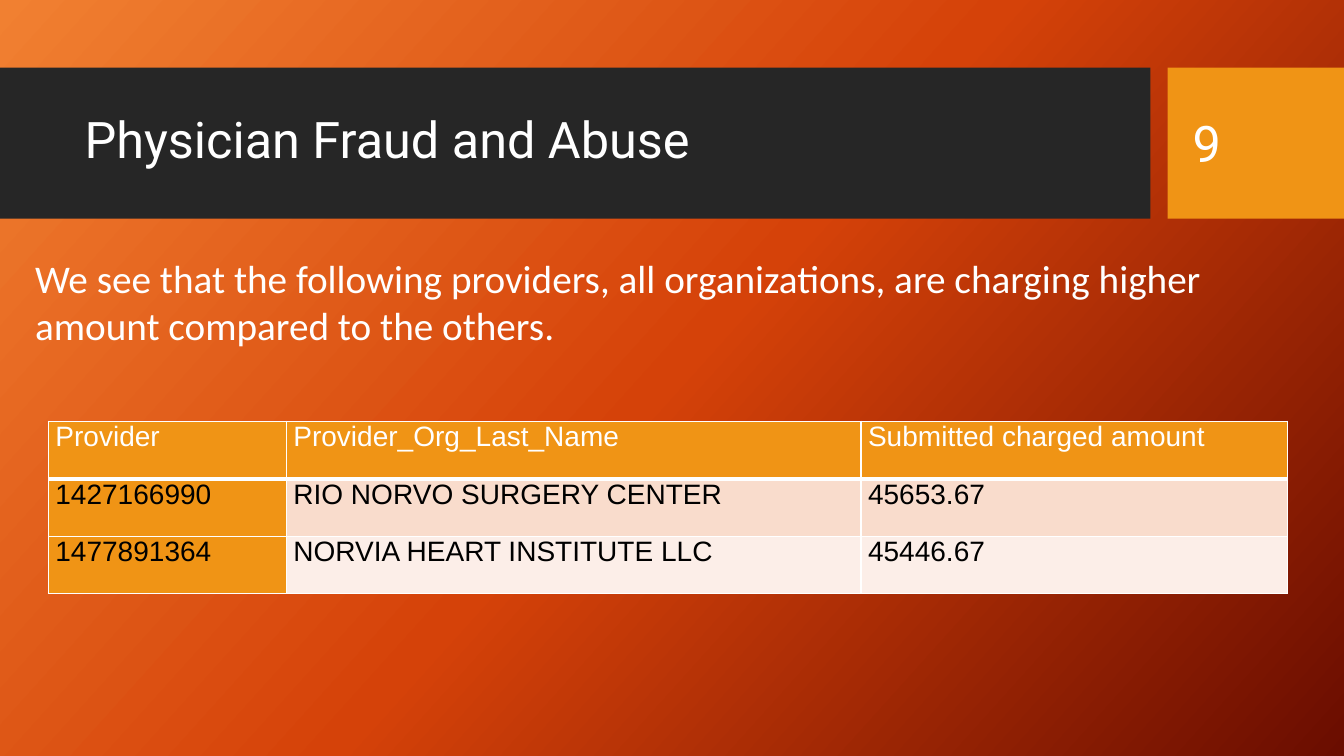
"""Build the Physician Fraud and Abuse slide with its table of providers."""
import copy

import pptx
import pptx.dml.color
import pptx.enum.shapes
import pptx.enum.text
import pptx.oxml
import pptx.oxml.ns
import pptx.util
from pptx.dml.color import RGBColor
from pptx.util import Inches

WHITE = RGBColor(0xFF, 0xFF, 0xFF)
BLACK = RGBColor(0x00, 0x00, 0x00)
CHARCOAL = RGBColor(0x26, 0x26, 0x26)
AMBER = RGBColor(0xF0, 0x94, 0x15)
PEACH = RGBColor(0xF9, 0xDC, 0xCC)
BLUSH = RGBColor(0xFC, 0xEE, 0xE8)
GRADIENT = {
    0: RGBColor(0xF1, 0x80, 0x31),
    0.5: RGBColor(0xD5, 0x42, 0x09),
    1: RGBColor(0x6A, 0x0D, 0x00),
}

HEADING = {"name": "Roboto", "size": pptx.util.Pt(36)}
BODY = {"name": "Calibri", "size": pptx.util.Pt(28)}
CELL = {"name": "Arial", "size": pptx.util.Pt(20)}

COLUMN_WIDTHS = (2.36, 5.7, 4.23)
ROW_HEIGHT = 0.57
PROVIDERS = (
    ("Provider", "Provider_Org_Last_Name", "Submitted charged amount"),
    ("1427166990", "RIO NORVO SURGERY CENTER", "45653.67"),
    ("1477891364", "NORVIA HEART INSTITUTE LLC", "45446.67"),
)
ROW_FILLS = (AMBER, PEACH, BLUSH)


def paint_background(page):
    """Fill the page with the diagonal gradient."""
    fill = page.background.fill
    fill.gradient()
    fill.gradient_angle = 360 - 42
    stop_list = page.element.find(".//" + pptx.oxml.ns.qn("a:gsLst"))
    stop_list.append(copy.deepcopy(stop_list[0]))
    for stop, (position, color) in zip(fill.gradient_stops, GRADIENT.items()):
        stop.position = position
        stop.color.rgb = color


def add_panel(page, bounds, color):
    """Add a plain filled rectangle."""
    panel = page.shapes.add_shape(
        pptx.enum.shapes.MSO_SHAPE.RECTANGLE, *map(Inches, bounds)
    )
    panel.shadow.inherit = False
    panel.fill.solid()
    panel.fill.fore_color.rgb = color
    panel.line.fill.background()


def write_text(frame, text, style, color):
    """Write one styled span into a text frame and return its paragraph."""
    para = frame.paragraphs[0]
    span = para.add_run()
    span.text = text
    for key, value in style.items():
        setattr(span.font, key, value)
    span.font.color.rgb = color
    return para


def add_text(page, bounds, text, style, line_spacing=1.0):
    """Add a wrapped, vertically centred white text box."""
    frame = page.shapes.add_textbox(*map(Inches, bounds)).text_frame
    frame.word_wrap = True
    frame.vertical_anchor = pptx.enum.text.MSO_ANCHOR.MIDDLE
    write_text(frame, text, style, WHITE).line_spacing = line_spacing


def add_borders(cell, bottom_width, top_width):
    """Draw white borders around a table cell."""
    properties = cell._tc.get_or_add_tcPr()
    widths = {"lnL": 1, "lnR": 1, "lnT": top_width, "lnB": bottom_width}
    for side, width in widths.items():
        properties.append(pptx.oxml.parse_xml(
            f'<a:{side} {pptx.oxml.ns.nsdecls("a")} w="{pptx.util.Pt(width)}">'
            f'<a:solidFill><a:srgbClr val="{WHITE}"/></a:solidFill></a:{side}>'
        ))


def fill_cell(cell, text, row, column):
    """Set the text, margins, borders and fill of a table cell."""
    margins = {"margin_left": 0.07, "margin_right": 0.07,
               "margin_top": 0, "margin_bottom": 0}
    for key, value in margins.items():
        setattr(cell, key, Inches(value))
    write_text(cell.text_frame, text, CELL, BLACK if row else WHITE)
    add_borders(cell, 1 if row else 3, 3 if row == 1 else 1)
    cell.fill.solid()
    cell.fill.fore_color.rgb = ROW_FILLS[row] if column else AMBER


def add_provider_table(page, left, top):
    """Add the table of providers and charged amounts."""
    size = (sum(COLUMN_WIDTHS), ROW_HEIGHT * len(PROVIDERS))
    table = page.shapes.add_table(
        len(PROVIDERS), len(COLUMN_WIDTHS), *map(Inches, (left, top, *size))
    ).table
    for column, width in zip(table.columns, COLUMN_WIDTHS):
        column.width = Inches(width)
    for row, texts in enumerate(PROVIDERS):
        table.rows[row].height = Inches(ROW_HEIGHT)
        for column, text in enumerate(texts):
            fill_cell(table.cell(row, column), text, row, column)


def main():
    """Assemble the slide and save the deck."""
    deck = pptx.Presentation()
    deck.slide_width = Inches(13.33)
    deck.slide_height = Inches(7.5)
    page = deck.slides.add_slide(deck.slide_layouts[6])
    paint_background(page)
    add_panel(page, (0, 0.67, 11.41, 1.5), CHARCOAL)
    add_panel(page, (11.58, 0.67, 1.75, 1.5), AMBER)
    add_text(page, (0.74, 0.82, 10.51, 1.18), "Physician Fraud and Abuse",
             HEADING, line_spacing=0.9)
    add_text(page, (0.25, 2.47, 12.23, 1.04),
             "We see that the following providers, all organizations, "
             "are charging higher amount compared to the others.", BODY)
    add_provider_table(page, 0.48, 4.18)
    add_text(page, (11.73, 0.82, 1.26, 1.19), "9", HEADING)
    deck.save("out.pptx")


if __name__ == "__main__":
    main()
